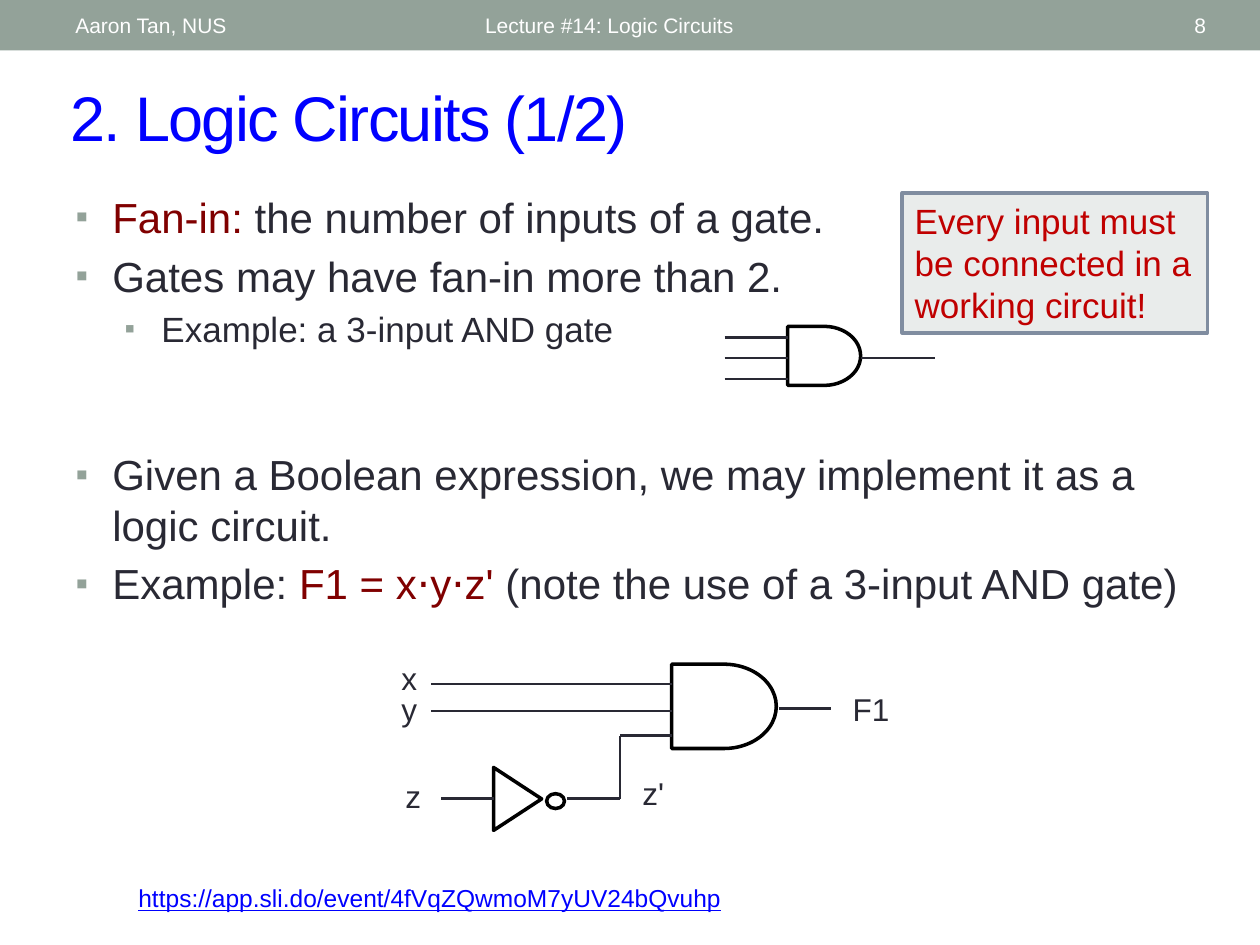
from dataclasses import dataclass

from lxml.etree import SubElement
from pptx import Presentation
from pptx.dml.color import RGBColor
from pptx.enum.shapes import MSO_CONNECTOR, MSO_SHAPE
from pptx.enum.text import MSO_ANCHOR, MSO_AUTO_SIZE, PP_ALIGN
from pptx.oxml.ns import qn
from pptx.util import Cm, Pt

COLORS = {
    "sage": "93A299", "blue": "0000FF", "ink": "292934", "maroon": "800000",
    "white": "FFFFFF", "black": "000000", "red": "C00000",
    "note": "E9ECEB", "note edge": "808DA0",
}
FONT = "Arial"


@dataclass
class Area:
    left: float
    top: float
    width: float
    height: float

    def lengths(self) -> list:
        return [Cm(self.left), Cm(self.top), Cm(self.width), Cm(self.height)]


@dataclass
class Label:
    text: str
    area: Area
    size: int = 18
    color: str = "ink"
    align: PP_ALIGN = PP_ALIGN.LEFT
    anchor: MSO_ANCHOR = MSO_ANCHOR.TOP
    underline: bool = False


@dataclass
class Wire:
    x1: float
    y1: float
    x2: float
    y2: float


@dataclass
class Outline:
    kind: MSO_SHAPE
    area: Area
    rotation: int = 0


@dataclass
class Item:
    spans: list
    level: int = 0


def rgb(name: str) -> RGBColor:
    return RGBColor.from_string(COLORS[name])


def style(font, size: int, color: str) -> None:
    font.name = FONT
    font.size = Pt(size)
    font.color.rgb = rgb(color)


def place(box, area: Area) -> None:
    box.left, box.top, box.width, box.height = area.lengths()


def add_label(shapes, label: Label) -> None:
    frame = shapes.add_textbox(*label.area.lengths()).text_frame
    frame.word_wrap = True
    frame.vertical_anchor = label.anchor
    paragraph = frame.paragraphs[0]
    paragraph.text = label.text
    paragraph.alignment = label.align
    style(paragraph.font, label.size, label.color)
    if label.underline:
        paragraph.font.underline = True


def add_wire(shapes, wire: Wire) -> None:
    line = shapes.add_connector(MSO_CONNECTOR.STRAIGHT, Cm(wire.x1), Cm(wire.y1),
                                Cm(wire.x2), Cm(wire.y2))
    line.line.color.rgb = rgb("ink")
    line.line.width = Pt(1.5)
    SubElement(line._element.spPr, qn("a:effectLst"))


def add_outline(shapes, outline: Outline) -> None:
    shape = shapes.add_shape(outline.kind, *outline.area.lengths())
    shape.rotation = outline.rotation
    shape.shadow.inherit = False
    shape.fill.background()
    shape.line.color.rgb = rgb("black")
    shape.line.width = Pt(2)


def add_circuit(page, outlines: list, wires: list, labels: list) -> None:
    shapes = page.shapes.add_group_shape().shapes
    for outline in outlines:
        add_outline(shapes, outline)
    for wire in wires:
        add_wire(shapes, wire)
    for label in labels:
        add_label(shapes, label)


def add_panel(page, area: Area, fill: str):
    panel = page.shapes.add_shape(MSO_SHAPE.RECTANGLE, *area.lengths())
    panel.shadow.inherit = False
    panel.fill.solid()
    panel.fill.fore_color.rgb = rgb(fill)
    panel.line.fill.background()
    return panel


def set_bullet(paragraph, level: int) -> None:
    properties = paragraph._p.get_or_add_pPr()
    properties.set("marL", str(Cm(0.74 + level * 0.99)))
    properties.set("indent", str(-Cm(0.74)))
    color = SubElement(properties, qn("a:buClr"))
    SubElement(color, qn("a:srgbClr"), val=COLORS["sage"])
    SubElement(properties, qn("a:buSzPct"), val="85000")
    SubElement(properties, qn("a:buFont"), typeface=FONT)
    SubElement(properties, qn("a:buChar"), char="▪")


def fill_list(box, area: Area, items: list) -> None:
    place(box, area)
    frame = box.text_frame
    frame.auto_size = MSO_AUTO_SIZE.NONE
    for index, item in enumerate(items):
        paragraph = frame.add_paragraph() if index else frame.paragraphs[0]
        paragraph.level = item.level
        set_bullet(paragraph, item.level)
        size = 24 - 4 * item.level
        paragraph.space_before = Pt(0.2 * size if index else 0)
        style(paragraph.font, size, "ink")
        for text, color in item.spans:
            span = paragraph.add_run()
            span.text = text
            if color != "ink":
                span.font.color.rgb = rgb(color)


def fill_title(box) -> None:
    place(box, Area(1.17, 1.45, 23.04, 1.78))
    frame = box.text_frame
    frame.auto_size = MSO_AUTO_SIZE.NONE
    frame.vertical_anchor = MSO_ANCHOR.MIDDLE
    paragraph = frame.paragraphs[0]
    paragraph.alignment = PP_ALIGN.LEFT
    style(paragraph.font, 36, "blue")
    span = paragraph.add_run()
    span.text = "2. Logic Circuits (1/2)"
    span._r.get_or_add_rPr().set("spc", "-100")


def main() -> None:
    deck = Presentation()
    deck.slide_width, deck.slide_height = Cm(25.4), Cm(19.05)
    page = deck.slides.add_slide(deck.slide_layouts[3])
    title, gate_list, circuit_list = page.placeholders

    add_panel(page, Area(0, 0, 25.4, 1.02), "sage")
    for text, left, width, align in [
        ("Aaron Tan, NUS", 1.27, 8.05, PP_ALIGN.LEFT),
        ("Lecture #14: Logic Circuits", 9.53, 11.43, PP_ALIGN.LEFT),
        ("8", 22.15, 2.41, PP_ALIGN.RIGHT),
    ]:
        add_label(page.shapes, Label(text, Area(left, 0.05, width, 0.91), 12, "white",
                                     align, MSO_ANCHOR.MIDDLE))
    add_label(page.shapes, Label("https://app.sli.do/event/4fVqZQwmoM7yUV24bQvuhp",
                                 Area(2.54, 17.68, 19.61, 0.86), 14, "blue", underline=True))

    fill_title(title)
    fill_list(gate_list, Area(1.27, 3.73, 22.86, 3.91), [
        Item([("Fan-in:", "maroon"), (" the number of inputs of a gate.", "ink")]),
        Item([("Gates may have fan-in more than 2.", "ink")]),
        Item([("Example: a 3-input AND gate", "ink")], 1),
    ])
    fill_list(circuit_list, Area(1.27, 8.92, 22.86, 5.82), [
        Item([("Given a Boolean expression, we may implement it as a logic circuit.", "ink")]),
        Item([("Example: ", "ink"), ("F1 = x⋅y⋅z'", "maroon"),
              (" (note the use of a 3-input AND gate)", "ink")]),
    ])

    add_circuit(page, [
        Outline(MSO_SHAPE.FLOWCHART_DELAY, Area(13.54, 13.39, 2.11, 1.7)),
        Outline(MSO_SHAPE.FLOWCHART_MERGE, Area(9.8, 15.62, 1.27, 0.97), 270),
        Outline(MSO_SHAPE.OVAL, Area(11.02, 16, 0.36, 0.3)),
    ], [
        Wire(8.69, 13.79, 13.54, 13.79),
        Wire(8.69, 14.33, 13.54, 14.33),
        Wire(8.89, 16.1, 9.96, 16.1),
        Wire(11.43, 16.1, 12.5, 16.1),
        Wire(12.5, 16.1, 12.5, 14.83),
        Wire(12.5, 14.83, 13.54, 14.83),
        Wire(15.7, 14.28, 16.76, 14.28),
    ], [
        Label("x", Area(7.82, 13.16, 0.84, 1.02), align=PP_ALIGN.RIGHT),
        Label("y", Area(7.82, 13.79, 0.84, 1.02), align=PP_ALIGN.RIGHT),
        Label("z", Area(7.9, 15.54, 0.84, 1.02), align=PP_ALIGN.RIGHT),
        Label("F1", Area(16.94, 13.79, 1.47, 1.02)),
        Label("z'", Area(12.7, 15.47, 1.07, 1.02)),
    ])
    inputs = [Wire(14.61, y, 15.88, y) for y in (6.8, 7.22, 7.64)]
    add_circuit(page, [Outline(MSO_SHAPE.FLOWCHART_DELAY, Area(15.88, 6.58, 1.47, 1.19))],
                [*inputs, Wire(17.35, 7.22, 18.85, 7.22)], [])

    note = add_panel(page, Area(18.19, 3.89, 6.15, 2.82), "note")
    note.line.color.rgb = rgb("note edge")
    note.line.width = Pt(2.08)
    note.text_frame.word_wrap = True
    note.text_frame.vertical_anchor = MSO_ANCHOR.TOP
    paragraph = note.text_frame.paragraphs[0]
    paragraph.text = "Every input must be connected in a working circuit!"
    paragraph.alignment = PP_ALIGN.LEFT
    style(paragraph.font, 20, "red")

    deck.save("out.pptx")


if __name__ == "__main__":
    main()
